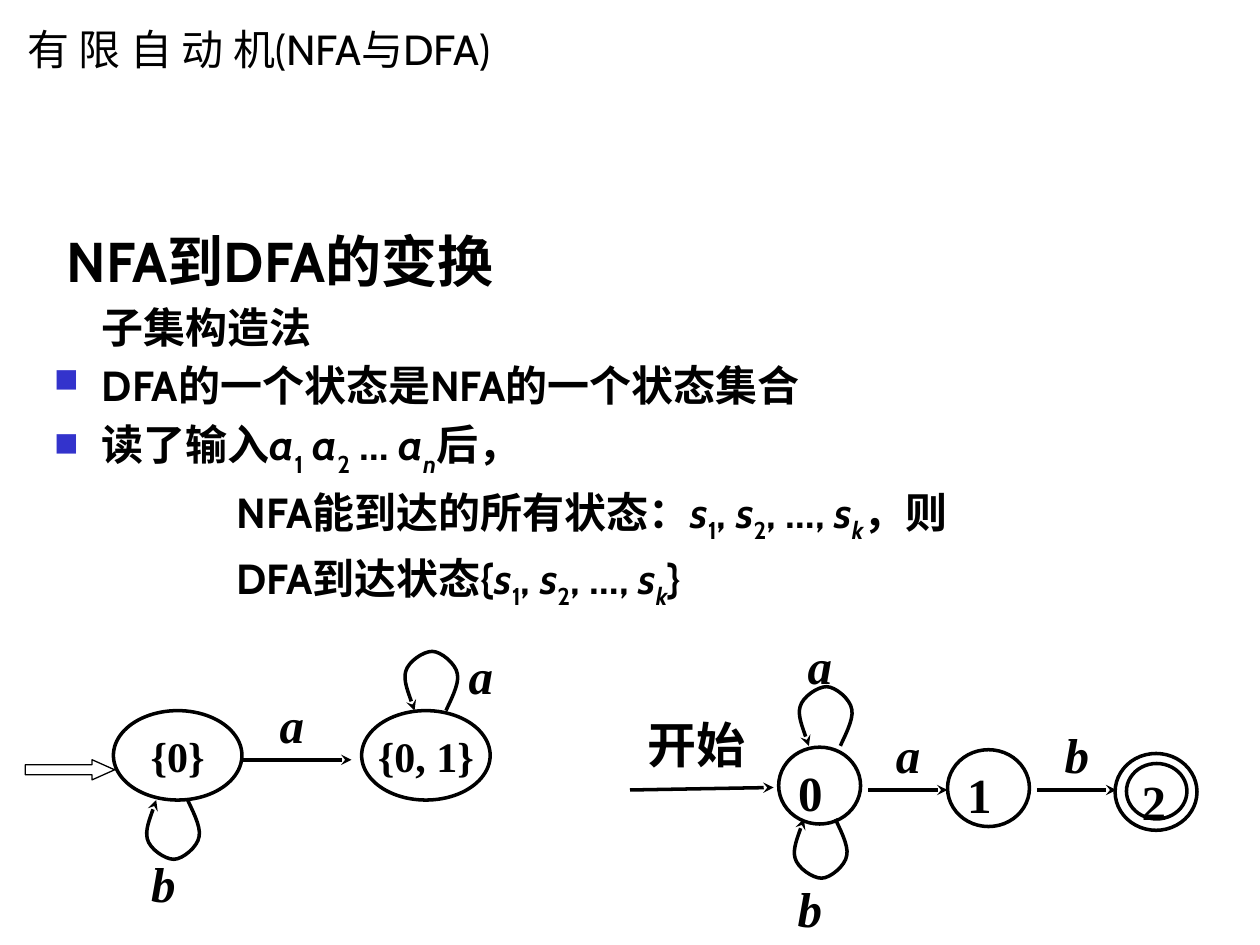
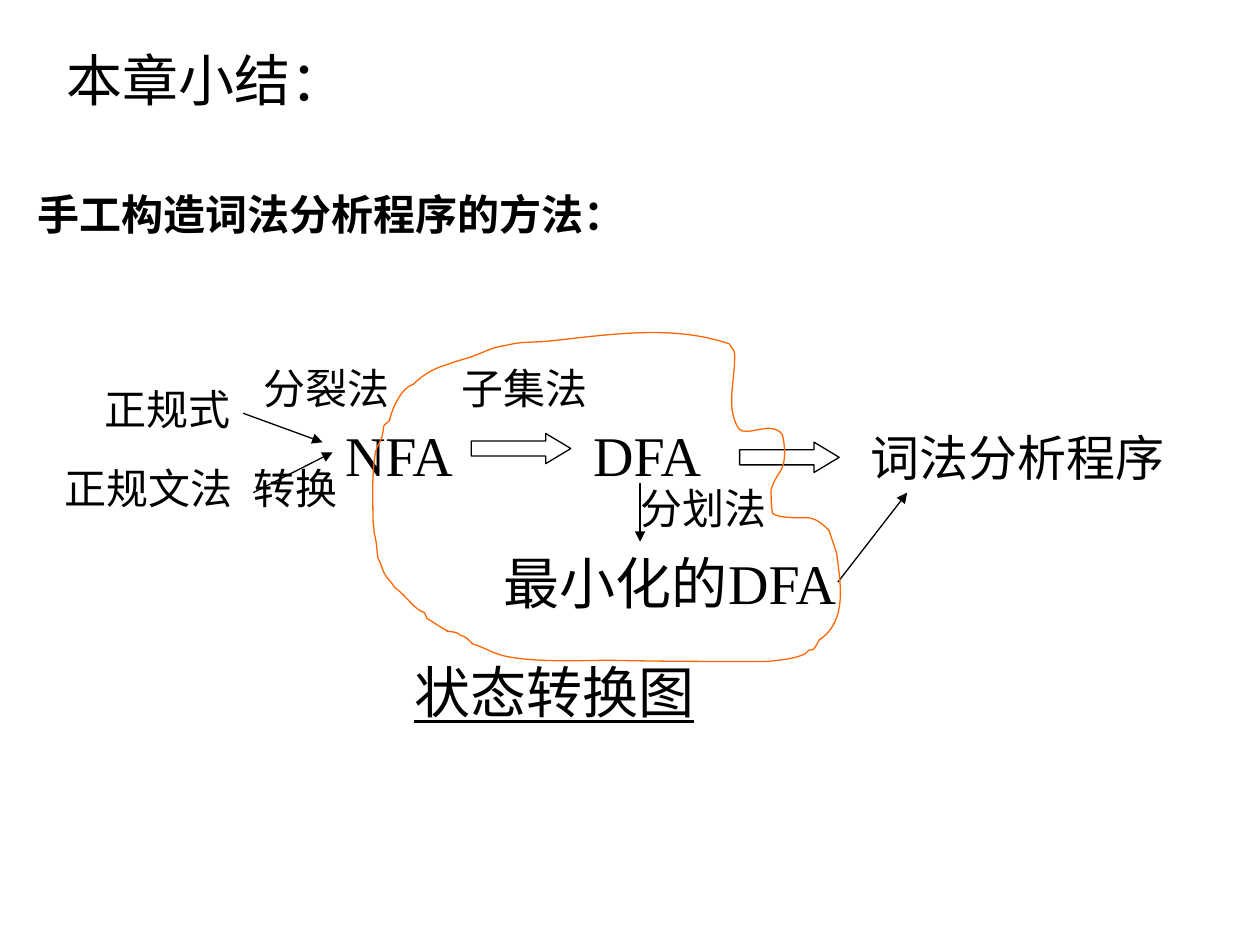
from lxml import etree
from pptx import Presentation
from pptx.dml.color import RGBColor
from pptx.enum.shapes import MSO_CONNECTOR, MSO_SHAPE
from pptx.enum.text import MSO_ANCHOR, MSO_AUTO_SIZE, PP_ALIGN
from pptx.oxml.ns import qn
from pptx.util import Pt

PX = 9144
BLACK = RGBColor(0x00, 0x00, 0x00)
WHITE = RGBColor(0xFF, 0xFF, 0xFF)
BLUE = RGBColor(0x33, 0x33, 0xCC)
ORANGE = RGBColor(0xFF, 0x66, 0x00)
CABIN = "Cabin"
TIMES = "Times New Roman"
CJK = "Noto Sans CJK SC"
TOP, MIDDLE, BOTTOM = MSO_ANCHOR.TOP, MSO_ANCHOR.MIDDLE, MSO_ANCHOR.BOTTOM
LEFT, CENTER = PP_ALIGN.LEFT, PP_ALIGN.CENTER
GROW = MSO_AUTO_SIZE.SHAPE_TO_FIT_TEXT
FIXED = MSO_AUTO_SIZE.NONE
ELLIPSE, RIGHT_ARROW = MSO_SHAPE.OVAL, MSO_SHAPE.RIGHT_ARROW
STRAIGHT = MSO_CONNECTOR.STRAIGHT

ITALIC = {"italic": True}
INDEX = {"baseline": -30}
LOW_INDEX = {"baseline": -25}
ITALIC_INDEX = {"italic": True, "baseline": -30}
STANDARD_INSETS = (10, 5, 10, 5)
NO_INSETS = (0, 0, 0, 0)
LABEL_INSETS = (6, 3, 6, 3)
STATE_INSETS = (6, 3, 2, 5)

LOOP = [(0, 0), (2, -5), (11, -21), (9, -29), (8, -37), (-4, -47), (-11, -47),
        (-18, -47), (-30, -39), (-32, -31), (-34, -24), (-27, -6), (-25, 0)]

DIAGRAM_OUTLINE = [
    (356, 501), (349, 498), (345, 494), (339, 491), (335, 482), (339, 489), (331, 483),
    (325, 478), (320, 471), (313, 466), (311, 462), (307, 459), (305, 455),
    (303, 451), (302, 446), (300, 443), (299, 436), (299, 430), (297, 423),
    (297, 419), (296, 415), (296, 411), (296, 394), (295, 376), (298, 359),
    (299, 354), (302, 351), (303, 347), (306, 335), (302, 340), (309, 334),
    (311, 325), (318, 308), (328, 305), (336, 297), (345, 292), (356, 289),
    (363, 286), (370, 285), (377, 282), (383, 280), (390, 276), (397, 275),
    (415, 271), (414, 272), (433, 271), (481, 266), (533, 257), (579, 273),
    (580, 276), (583, 278), (583, 280), (584, 300), (576, 321), (585, 338),
    (588, 347), (603, 339), (612, 340), (616, 341), (618, 341), (621, 345),
    (623, 354), (624, 365), (620, 373), (616, 379), (614, 382), (612, 389),
    (612, 395), (612, 401), (613, 407), (613, 408), (619, 410), (620, 410),
    (627, 411), (635, 411), (642, 411), (649, 412), (654, 417), (658, 421),
    (660, 427), (662, 433), (664, 439), (667, 463), (673, 493), (650, 508),
    (649, 511), (647, 513), (646, 515), (645, 516), (643, 516), (642, 516),
    (641, 517), (640, 518), (639, 519), (630, 523), (619, 524), (608, 525),
    (567, 525), (526, 525), (485, 524), (464, 524), (427, 526), (402, 521),
    (392, 519), (385, 514), (375, 511), (372, 508), (370, 505), (365, 504),
    (364, 503), (363, 502), (362, 502), (358, 501), (352, 501), (356, 501)]


def scaled(values):
    return [value * PX for value in values]


def add_run(paragraph, text, font=TIMES, size=24, bold=False, italic=False,
            underline=False, baseline=0):
    run = paragraph.add_run()
    run.text = text
    run.font.name = font
    run.font.size = Pt(size)
    run.font.bold = bold
    run.font.italic = italic
    run.font.underline = underline
    run.font.color.rgb = BLACK
    properties = run.font._element
    latin = properties.find(qn("a:latin"))
    east_asian = etree.Element(qn("a:ea"), typeface=CJK)
    latin.addnext(east_asian)
    if baseline:
        properties.set("baseline", str(baseline * 1000))


def write_paragraph(paragraph, content, align=LEFT, spacing=None, margin=0,
                    bullet=False, **run_format):
    paragraph.alignment = align
    if spacing:
        paragraph.line_spacing = spacing
    properties = paragraph._p.get_or_add_pPr()
    properties.set("marL", str(margin * PX))
    properties.set("indent", str(-margin * PX if bullet else 0))
    if bullet:
        color = etree.SubElement(properties, qn("a:buClr"))
        etree.SubElement(color, qn("a:srgbClr"), val=str(BLUE))
        etree.SubElement(properties, qn("a:buSzPct"), val="80000")
        etree.SubElement(properties, qn("a:buChar"), char="■")
    runs = [(content, {})] if isinstance(content, str) else content
    for text, changes in runs:
        add_run(paragraph, text, **{**run_format, **changes})


class SlideBuilder:
    def __init__(self, presentation):
        self.presentation = presentation
        self.slide = None

    def new_slide(self):
        self.slide = self.presentation.slides.add_slide(self.presentation.slide_layouts[6])

    def set_frame(self, shape, insets, anchor, wrap=True, auto_size=FIXED):
        frame = shape.text_frame
        frame.auto_size = auto_size
        frame.word_wrap = wrap
        frame.vertical_anchor = anchor
        (frame.margin_left, frame.margin_top,
         frame.margin_right, frame.margin_bottom) = scaled(insets)
        return frame

    def text(self, box, content, insets=STANDARD_INSETS, anchor=TOP, fill=None,
             auto_size=FIXED, **text_format):
        shape = self.slide.shapes.add_textbox(*scaled(box))
        if fill:
            shape.fill.solid()
            shape.fill.fore_color.rgb = fill
        frame = self.set_frame(shape, insets, anchor, auto_size=auto_size)
        write_paragraph(frame.paragraphs[0], content, **text_format)
        return frame

    def title(self, box, content, size, fill=None):
        self.text(box, content, anchor=MIDDLE, fill=fill, font=CABIN, size=size)

    def edge_label(self, left, top, content, width=53, height=49, italic=True):
        self.text((left, top, width, height), content, LABEL_INSETS,
                  size=28, bold=True, italic=italic)

    def step(self, box, content, size=32, underline=False):
        self.text(box, content, anchor=BOTTOM, auto_size=GROW, size=size, underline=underline)

    def method(self, left, top, content, width=102):
        self.text((left, top, width, 40), content, NO_INSETS, auto_size=GROW)

    def outline(self, shape, color=BLACK, width=2, head=None):
        shape.line.color.rgb = color
        shape.line.width = Pt(width)
        if head:
            etree.SubElement(shape.line._get_or_add_ln(), qn("a:tailEnd"), type=head)

    def hollow(self, shape, **line_format):
        shape.shadow.inherit = False
        shape.fill.background()
        self.outline(shape, **line_format)

    def state(self, box, content=None, insets=STATE_INSETS, anchor=TOP, wrap=True,
              size=28, align=LEFT):
        shape = self.slide.shapes.add_shape(ELLIPSE, *scaled(box))
        self.hollow(shape)
        if content:
            frame = self.set_frame(shape, insets, anchor, wrap)
            write_paragraph(frame.paragraphs[0], content, align=align, size=size, bold=True)

    def set_state(self, left, content):
        self.state((left, 564, 102, 71), content, LABEL_INSETS, MIDDLE, False, 24, CENTER)

    def block_arrow(self, box, head_length):
        shape = self.slide.shapes.add_shape(RIGHT_ARROW, *scaled(box))
        shape.adjustments[0] = 0.5
        shape.adjustments[1] = head_length
        self.hollow(shape, width=0.75)

    def arrow(self, start, end, width=2, head="stealth"):
        connector = self.slide.shapes.add_connector(STRAIGHT, *scaled(start + end))
        self.outline(connector, width=width, head=head)
        etree.SubElement(connector._element.spPr, qn("a:effectLst"))

    def thin_arrow(self, start, end):
        self.arrow(start, end, 0.75, "triangle")

    def curve(self, points, close=False, **line_format):
        builder = self.slide.shapes.build_freeform(*points[0], scale=PX)
        builder.add_line_segments(points[1:], close=close)
        shape = builder.convert_to_shape()
        segments = list(shape._element.iter(qn("a:lnTo")))
        for index in range(0, len(points) - 1, 3):
            bezier = etree.Element(qn("a:cubicBezTo"))
            segments[index].addprevious(bezier)
            for segment in segments[index:index + 3]:
                bezier.append(segment[0])
                segment.getparent().remove(segment)
        self.hollow(shape, **line_format)

    def self_loop(self, left, top, below=False):
        direction = -1 if below else 1
        self.curve([(left + x, top + direction * y) for x, y in LOOP], head="stealth")


def build_subset_construction(builder):
    builder.new_slide()
    body_format = {"font": CABIN, "bold": True, "spacing": 1.15}
    frame = builder.text((33, 167, 908, 358), "NFA到DFA的变换",
                         margin=10, size=32, **body_format)
    state_list = [("s", ITALIC), ("1", LOW_INDEX), (", ", {}), ("s", ITALIC),
                  ("2", LOW_INDEX), (", …, ", {}), ("s", ITALIC),
                  ("k", {**ITALIC, **LOW_INDEX})]
    input_runs = [("读了输入", {}), ("a", ITALIC), ("1", INDEX), (" a", ITALIC),
                  ("2", INDEX), (" … ", {}), ("a", ITALIC), ("n", ITALIC_INDEX),
                  ("后，", {})]
    for content, margin, bullet in [
            ("子集构造法", 38, False),
            ("DFA的一个状态是NFA的一个状态集合", 38, True),
            (input_runs, 38, True),
            ([("NFA能到达的所有状态：", {}), *state_list, ("，则", {})], 145, False),
            ([("DFA到达状态{", {}), *state_list, ("}", {})], 145, False)]:
        write_paragraph(frame.add_paragraph(), content, margin=margin, bullet=bullet,
                        **body_format)

    builder.state((752, 595, 65, 61), "1")
    builder.state((885, 598, 65, 61))
    builder.state((894, 606, 48, 44), "2", (5, 0, 1, 0))
    builder.state((618, 593, 65, 61), "0")
    builder.set_state(90, "{0}")
    builder.set_state(287, "{0, 1}")
    for start, end in [((500, 627), (614, 625)), ((689, 627), (752, 627)),
                       ((823, 627), (886, 627)), ((193, 603), (279, 603))]:
        builder.arrow(start, end)
    for left, top, below in [(667, 592, False), (663, 650, True),
                             (354, 564, False), (149, 635, True)]:
        builder.self_loop(left, top, below)
    for left, top, symbol in [(705, 572, "a"), (635, 501, "a"), (627, 694, "b"),
                              (839, 572, "b"), (216, 548, "a"), (114, 674, "b"),
                              (366, 509, "a")]:
        builder.edge_label(left, top, symbol)
    builder.edge_label(508, 564, "开始", 106, 57, italic=False)
    builder.block_arrow((20, 603, 71, 16), 1.12)
    builder.title((12, 5, 404, 68), "有 限 自 动 机(NFA与DFA)", 24, WHITE)


def build_chapter_summary(builder):
    builder.new_slide()
    builder.title((43, 36, 646, 54), "本章小结：", 32)
    builder.text((20, 139, 953, 87), "手工构造词法分析程序的方法：", fill=WHITE,
                 bold=True, spacing=1.15)
    builder.step((264, 328, 134, 64), "NFA")
    builder.step((461, 328, 126, 64), "DFA")
    builder.step((681, 334, 276, 57), "词法分析程序", size=28)
    builder.step((390, 430, 339, 64), "最小化的DFA")
    builder.step((319, 516, 276, 64), "状态转换图", underline=True)
    for left, top, name in [(83, 304, "正规式"), (209, 288, "分裂法"), (201, 367, "转换"),
                            (366, 288, "子集法"), (508, 383, "分划法")]:
        builder.method(left, top, name)
    builder.method(51, 367, "正规文法", 157)
    for start, end in [((193, 328), (256, 351)), ((201, 391), (264, 359)),
                       ((508, 383), (508, 430)), ((665, 462), (720, 391))]:
        builder.thin_arrow(start, end)
    for left, top in [(374, 344), (587, 351)]:
        builder.block_arrow((left, top, 79, 24), 0.83)
    builder.curve(DIAGRAM_OUTLINE, close=True, color=ORANGE, width=0.75)


def main():
    presentation = Presentation()
    presentation.slide_width, presentation.slide_height = scaled((1000, 750))
    builder = SlideBuilder(presentation)
    build_subset_construction(builder)
    build_chapter_summary(builder)
    presentation.save("out.pptx")


if __name__ == "__main__":
    main()
